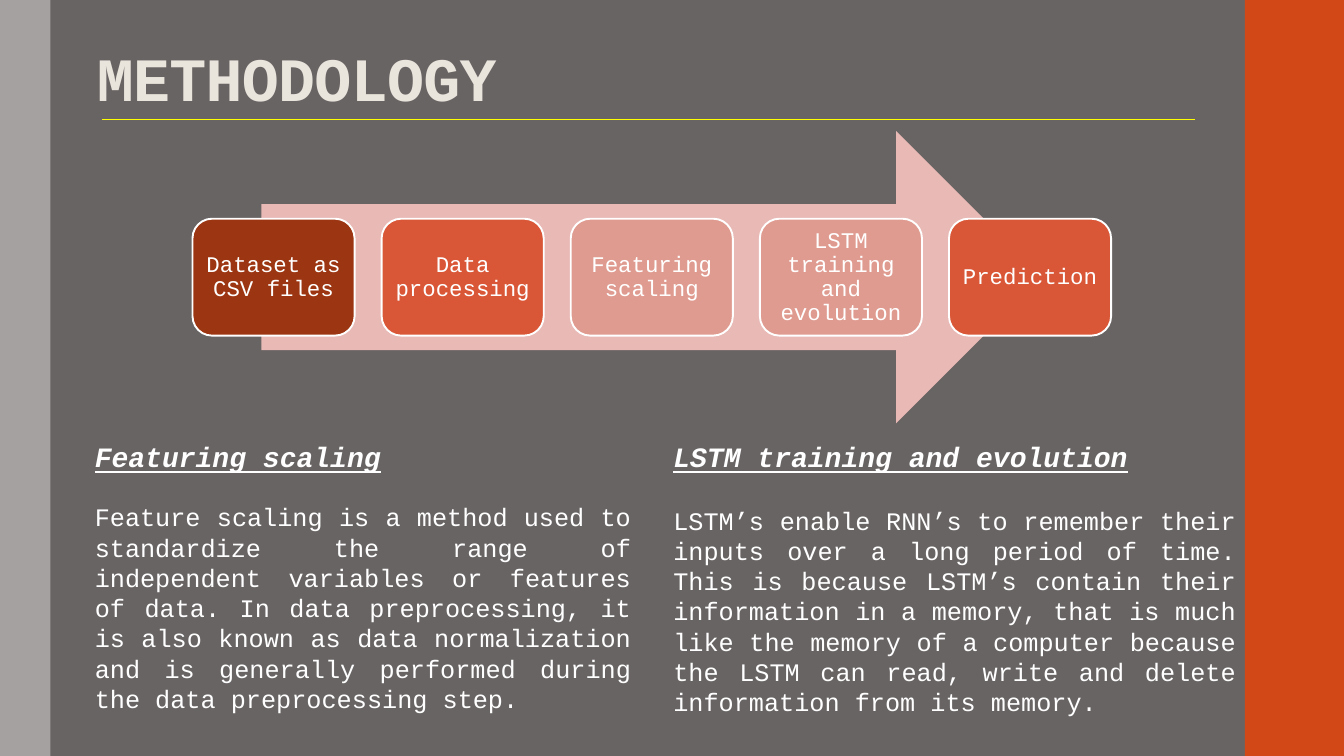
from lxml.etree import SubElement
from pptx import Presentation
from pptx.dml.color import RGBColor
from pptx.enum.shapes import MSO_CONNECTOR, MSO_SHAPE
from pptx.enum.text import MSO_ANCHOR, MSO_AUTO_SIZE, PP_ALIGN
from pptx.oxml.ns import qn
from pptx.util import Inches, Pt

WIDTH, HEIGHT = Inches(13.33), Inches(7.5)
COLUMNS, ROWS = 80, 45
FONT = "Courier New"
WHITE = "FFFFFF"
BANDS = [((74.1, 0, 5.9, ROWS), "D34817"), ((0, 0, 3, ROWS), "A6A1A1")]
STEPS = [
    ("Dataset as CSV files", "9C3511"),
    ("Data processing", "D95636"),
    ("Featuring scaling", "E09B90"),
    ("LSTM training and evolution", "E09B90"),
    ("Prediction", "D95636"),
]
TOPICS = [
    ((5.04, 25.86, 33.12, 15.4), "Featuring scaling", 20.4,
     "Feature scaling is a method used to standardize the range of independent "
     "variables or features of data. In data preprocessing, it is also known as "
     "data normalization and is generally performed during the data "
     "preprocessing step."),
    ((39.48, 25.86, 34.68, 15.4), "LSTM training and evolution", 22.7,
     "LSTM’s enable RNN’s to remember their inputs over a long period of time. "
     "This is because LSTM’s contain their information in a memory, that is much "
     "like the memory of a computer because the LSTM can read, write and delete "
     "information from its memory."),
]


def color(value):
    """Turn a hex string into a colour."""
    return RGBColor.from_string(value)


def place(box):
    """Turn a box in grid columns and rows into slide lengths."""
    left, top, width, height = box
    return (round(left * WIDTH / COLUMNS), round(top * HEIGHT / ROWS),
            round(width * WIDTH / COLUMNS), round(height * HEIGHT / ROWS))


def move(shape, box):
    """Move a placeholder into a box."""
    shape.left, shape.top, shape.width, shape.height = place(box)


def style(para, size, fill, align=PP_ALIGN.LEFT, bold=False, italic=False):
    """Set the look of a whole paragraph."""
    para.alignment = align
    font = para.font
    font.name, font.size, font.bold, font.italic = FONT, Pt(size), bold, italic
    font.color.rgb = color(fill)


def add_block(page, kind, box, fill):
    """Add a plain filled shape."""
    shape = page.shapes.add_shape(kind, *place(box))
    shape.shadow.inherit = False
    shape.fill.solid()
    shape.fill.fore_color.rgb = color(fill)
    shape.line.fill.background()
    return shape


def add_heading(page, box):
    """Fill the title and draw the rule under it."""
    title = page.shapes.title
    move(title, box)
    frame = title.text_frame
    frame.auto_size = MSO_AUTO_SIZE.NONE
    frame.vertical_anchor = MSO_ANCHOR.BOTTOM
    frame.margin_top, frame.margin_bottom = Inches(0.03), Inches(0.05)
    para = frame.paragraphs[0]
    span = para.add_run()
    span.text = "METHODOLOGY"
    span._r.get_or_add_rPr().set("spc", "-50")
    style(para, 44, "E9E5DC", bold=True)
    para.line_spacing = 0.85
    left, top, width, height = box
    x, y, length, _ = place((left + 0.9, top + height + 0.06, width - 0.9, 0))
    rule = page.shapes.add_connector(MSO_CONNECTOR.STRAIGHT, x, y, x + length, y)
    rule.line.color.rgb = color("FFFF00")
    rule.line.width = Pt(0.75)
    SubElement(rule._element.spPr, qn("a:effectLst"))


def add_process(page, box):
    """Draw the arrow and the evenly spaced steps over it."""
    left, top, width, height = box
    add_block(page, MSO_SHAPE.RIGHT_ARROW,
              (left + 0.075 * width, top, 0.85 * width, height), "E8B9B5")
    step_width = width / (len(STEPS) + (len(STEPS) - 1) / 6)
    for index, (label, fill) in enumerate(STEPS):
        step = add_block(page, MSO_SHAPE.ROUNDED_RECTANGLE,
                         (left + index * step_width * 7 / 6, top + 0.3 * height,
                          step_width, 0.4 * height), fill)
        step.line.color.rgb = color(WHITE)
        step.line.width = Pt(1.35)
        frame = step.text_frame
        frame.word_wrap = True
        frame.vertical_anchor = MSO_ANCHOR.MIDDLE
        frame.margin_left = frame.margin_right = Inches(0.07)
        frame.margin_top = frame.margin_bottom = Inches(0.07)
        para = frame.paragraphs[0]
        para.text = label
        style(para, 16, WHITE, PP_ALIGN.CENTER)
        para.line_spacing = 0.9


def add_topic(body, box, heading, gap, text):
    """Fill a body placeholder with a heading and a justified paragraph."""
    move(body, box)
    frame = body.text_frame
    frame.auto_size = MSO_AUTO_SIZE.NONE
    frame.text = f"{heading}\n{text}"
    head, detail = frame.paragraphs
    for para, space in ((head, 0), (detail, gap)):
        properties = para._p.get_or_add_pPr()
        properties.set("marL", "0")
        properties.set("indent", "0")
        SubElement(properties, qn("a:buNone"))
        para.space_before = Pt(space)
    style(head, 20, WHITE, bold=True, italic=True)
    head.font.underline = True
    style(detail, 18, WHITE, PP_ALIGN.JUSTIFY)


def main():
    """Build and save the deck."""
    deck = Presentation()
    deck.slide_width, deck.slide_height = WIDTH, HEIGHT
    page = deck.slides.add_slide(deck.slide_layouts.get_by_name("Two Content"))
    page.background.fill.solid()
    page.background.fill.fore_color.rgb = color("696464")
    for box, fill in BANDS:
        add_block(page, MSO_SHAPE.RECTANGLE, box, fill)
    add_heading(page, (5.16, 2.58, 66, 4.5))
    add_process(page, (11.46, 7.8, 54.68, 17.4))
    _, *bodies = page.placeholders
    for body, topic in zip(bodies, TOPICS):
        add_topic(body, *topic)
    deck.save("out.pptx")


if __name__ == "__main__":
    main()
